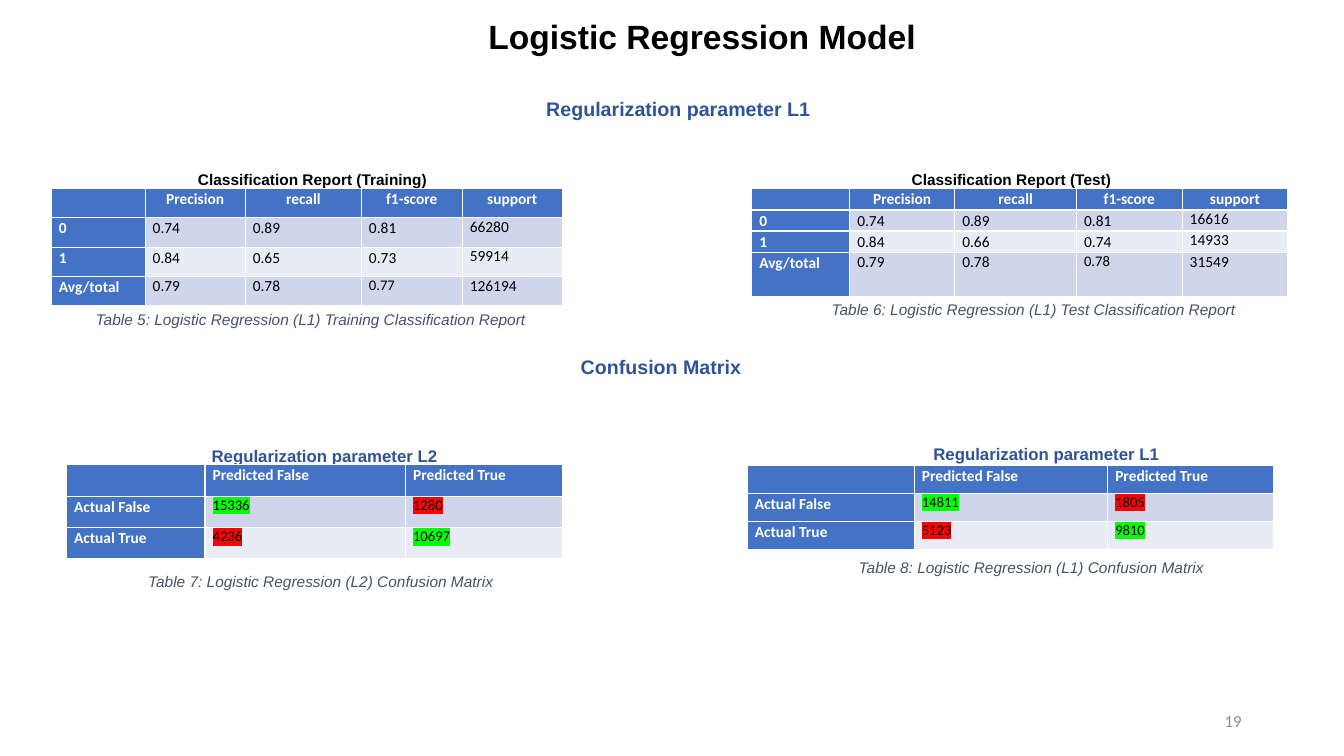
import pptx
import pptx.util
import pptx.dml.color
import pptx.enum.shapes
import pptx.enum.text
from lxml import etree

Pt = pptx.util.Pt
LEFT = pptx.enum.text.PP_ALIGN.LEFT
CENTER = pptx.enum.text.PP_ALIGN.CENTER
RIGHT = pptx.enum.text.PP_ALIGN.RIGHT
MIDDLE = pptx.enum.text.MSO_ANCHOR.MIDDLE
DRAWING = "http://schemas.openxmlformats.org/drawingml/2006/main"
BLUE, DARK_BLUE, SLATE = "4472C4", "2F5496", "44546A"
BANDS = ["E9EBF5", "CFD5EA"]


def color(value):
    return pptx.dml.color.RGBColor.from_string(value)


def write(paragraph, text, size, hue, name="Arial", bold=False, italic=False, align=LEFT, spacing=1.0):
    if text:
        paragraph.add_run().text = text
    paragraph.alignment = align
    paragraph.line_spacing = spacing
    paragraph.font.name = name
    paragraph.font.size = Pt(size)
    paragraph.font.bold = bold
    paragraph.font.italic = italic
    paragraph.font.color.rgb = color(hue)


presentation = pptx.Presentation()
presentation.slide_width = Pt(960)
presentation.slide_height = Pt(540)
slide = presentation.slides.add_slide(presentation.slide_layouts[6])

headings = [
    ("Logistic Regression Model", 26.6, 10.8, 913.7, 40, 24, "000000", CENTER, 43.2, 0.9, 5),
    ("Regularization parameter L1", 239, 64.8, 470.9, 24, 14, DARK_BLUE, LEFT, 151.2, 1.07, 2),
    ("Confusion Matrix", 136.1, 249.1, 528, 24, 14, DARK_BLUE, CENTER, 151.2, 1.07, 2),
    ("Regularization parameter L2", 0, 313.9, 330, 21.6, 12, DARK_BLUE, LEFT, 151.2, 1.07, 2),
    ("Regularization parameter L1", 515.5, 312.5, 394.6, 21.6, 12, DARK_BLUE, LEFT, 151.2, 1.07, 2),
]
for text, left, top, width, height, size, hue, align, inset, spacing, before in headings:
    box = slide.shapes.add_textbox(Pt(left), Pt(top), Pt(width), Pt(height))
    box.text_frame.word_wrap = True
    box.text_frame.margin_left = Pt(inset)
    paragraph = box.text_frame.paragraphs[0]
    write(paragraph, text, size, hue, bold=True, align=align, spacing=spacing)
    paragraph.space_before = Pt(before)

for text, left, width in [
    ("Classification Report (Training)", 51.1, 315.4),
    ("Classification Report (Test)", 560.9, 349.9),
]:
    label = slide.shapes.add_shape(
        pptx.enum.shapes.MSO_SHAPE.RECTANGLE, Pt(left), Pt(121), Pt(width), Pt(13.7))
    label.shadow.inherit = False
    label.fill.solid()
    label.fill.fore_color.rgb = color("FFFFFF")
    label.line.fill.background()
    frame = label.text_frame
    frame.word_wrap = True
    frame.vertical_anchor = MIDDLE
    frame.margin_left = Pt(90.3)
    frame.margin_top = frame.margin_right = frame.margin_bottom = 0
    write(frame.paragraphs[0], text, 11, "000000", bold=True)

captions = [
    ("Table 5: Logistic Regression (L1) Training Classification Report", -10.8, 218.2, 470.9),
    ("Table 6: Logistic Regression (L1) Test Classification Report", 514.8, 211, 409),
    ("Table 7: Logistic Regression (L2) Confusion Matrix", 26.6, 405.4, 409.7),
    ("Table 8: Logistic Regression (L1) Confusion Matrix", 534.2, 395.3, 376.6),
]
for text, left, top, width in captions:
    box = slide.shapes.add_textbox(Pt(left), Pt(top), Pt(width), Pt(20.9))
    box.text_frame.word_wrap = True
    box.text_frame.margin_left = Pt(79.2)
    write(box.text_frame.paragraphs[0], text, 11, SLATE, italic=True)

report_header = ["", "Precision", "recall", "f1-score", "support"]
matrix_header = ["", "Predicted False", "Predicted True"]
tables = [
    (36.7, 134.6, [67, 71.5, 83, 72, 71.5], [21] * 4, [
        report_header,
        ["0", "0.74", "0.89", "0.81", "66280"],
        ["1", "0.84", "0.65", "0.73", "59914"],
        ["Avg/total", "0.79", "0.78", "0.77", "126194"]]),
    (537, 134.6, [70, 75, 87, 75.5, 75.5], [15.4, 15.1, 15.1, 31.7], [
        report_header,
        ["0", "0.74", "0.89", "0.81", "16616"],
        ["1", "0.84", "0.66", "0.74", "14933"],
        ["Avg/total", "0.79", "0.78", "0.78", "31549"]]),
    (47.5, 331.9, [99, 143.2, 112], [22.5] * 3, [
        matrix_header,
        ["Actual False", "15336", "1280"],
        ["Actual True", "4236", "10697"]]),
    (533.8, 332.5, [119.3, 138.2, 118.8], [20] * 3, [
        matrix_header,
        ["Actual False", "14811", "1805"],
        ["Actual True", "5123", "9810"]]),
]
for left, top, widths, heights, rows in tables:
    table = slide.shapes.add_table(
        len(rows), len(widths), Pt(left), Pt(top), Pt(sum(widths)), Pt(sum(heights))).table
    table.first_col = True
    is_matrix = rows[0] is matrix_header
    for column, width in zip(table.columns, widths):
        column.width = Pt(width)
    for row_index, values in enumerate(rows):
        table.rows[row_index].height = Pt(heights[row_index])
        for column_index, value in enumerate(values):
            cell = table.cell(row_index, column_index)
            cell.margin_left = cell.margin_right = Pt(5.4)
            cell.margin_top = cell.margin_bottom = 0
            is_header = row_index == 0 or column_index == 0
            cell.fill.solid()
            cell.fill.fore_color.rgb = color(BLUE if is_header else BANDS[row_index % 2])
            is_tight = not is_header and (is_matrix or row_index == 3 or column_index == 4)
            is_small = not is_header and (is_matrix or (row_index, column_index) == (3, 3))
            paragraph = cell.text_frame.paragraphs[0]
            write(paragraph, value, 10.5 if is_small else 11,
                  "FFFFFF" if is_header else "000000", name="Calibri", bold=is_header,
                  align=CENTER if row_index == 0 and not is_matrix else LEFT,
                  spacing=1.0 if is_tight else 1.07)
            if is_matrix and not is_header:
                properties = paragraph.runs[0]._r.get_or_add_rPr()
                highlight = etree.SubElement(properties, f"{{{DRAWING}}}highlight")
                etree.SubElement(highlight, f"{{{DRAWING}}}srgbClr",
                                 val="00FF00" if row_index == column_index else "FF0000")

number = slide.shapes.add_textbox(Pt(678), Pt(500.5), Pt(216), Pt(28.8))
number.text_frame.vertical_anchor = MIDDLE
number.text_frame.word_wrap = True
write(number.text_frame.paragraphs[0], "19", 12, "8C8C8C", name="Calibri", align=RIGHT)

presentation.save("out.pptx")
